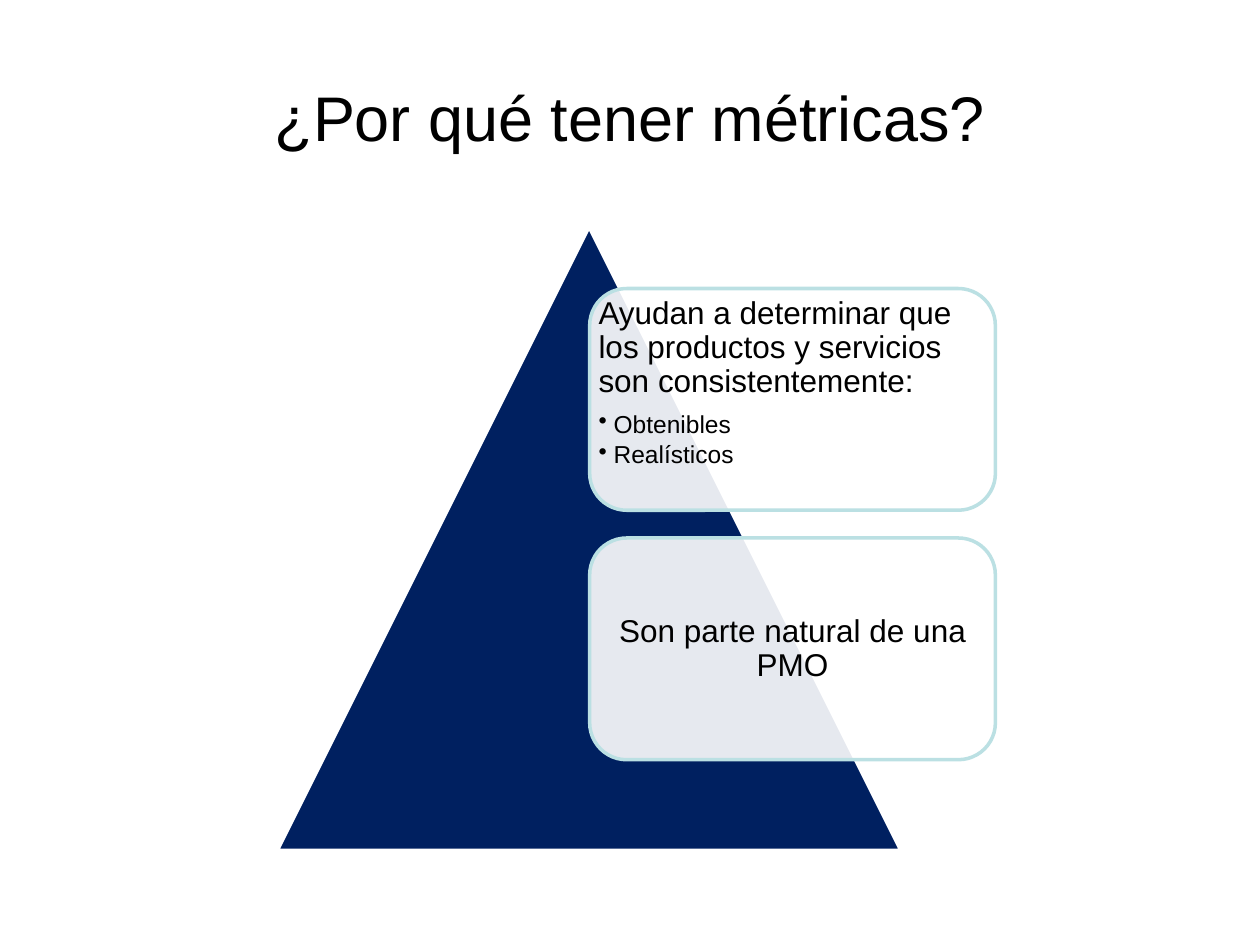
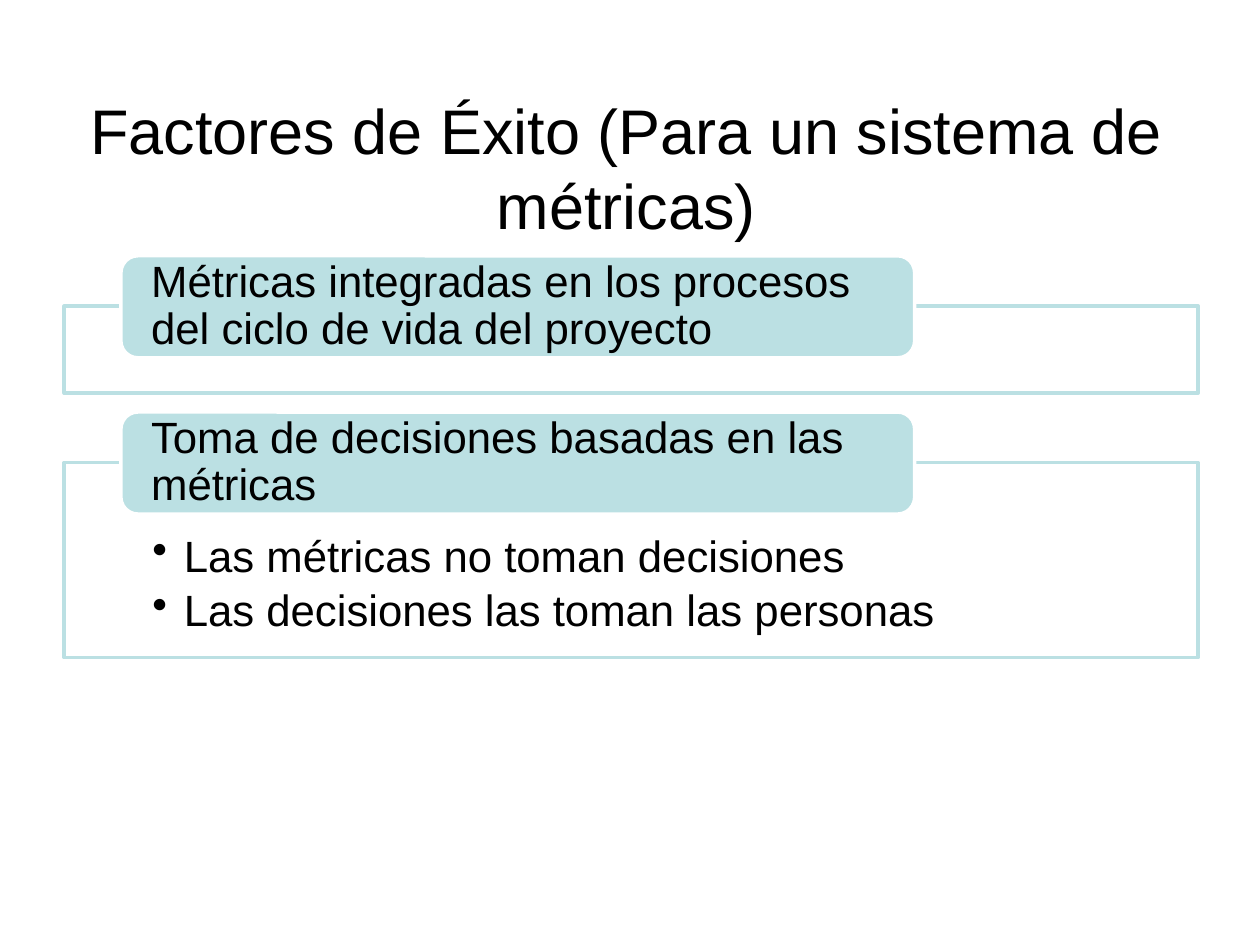
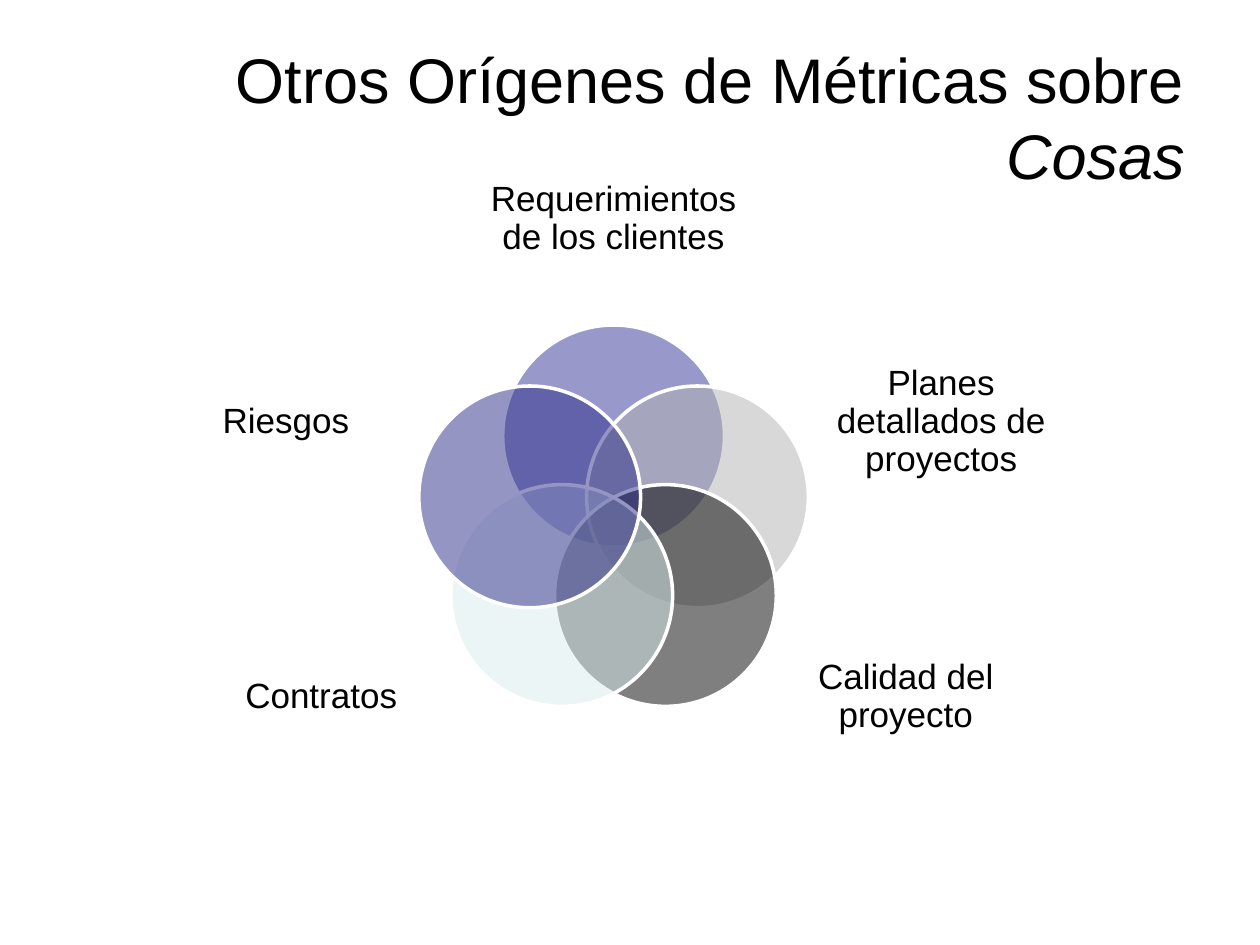
import math
import pptx
import pptx.dml.color
import pptx.enum.shapes
import pptx.enum.text
import pptx.oxml.ns
import pptx.util
from lxml import etree

Inches = pptx.util.Inches
Pt = pptx.util.Pt
Kind = pptx.enum.shapes.MSO_SHAPE
Align = pptx.enum.text.PP_ALIGN
Anchor = pptx.enum.text.MSO_ANCHOR

FONT = "Arial"
INK, WHITE, NAVY, AQUA = "000000", "FFFFFF", "002060", "BBE0E3"

REASONS = [
    ("Ayudan a determinar que los productos y servicios son consistentemente:",
     ["Obtenibles", "Realísticos"]),
    ("Son parte natural de una PMO", []),
]

# heading, bullets, panel height
FACTORS = [
    ("Métricas integradas en los procesos del ciclo de vida del proyecto", [], 0.69),
    ("Toma de decisiones basadas en las métricas",
     ["Las métricas no toman decisiones", "Las decisiones las toman las personas"], 1.55),
]

# label, circle colour, label centre (offset from the axis, y), label size
ORIGINS = [
    ("Requerimientos de los clientes", "333399", (0, 1.74), (2.04, 1.18)),
    ("Planes detallados de proyectos", "B3B3B3", (2.6, 3.35), (1.83, 1.28)),
    ("Calidad del proyecto", "000000", (2.32, 5.53), (1.83, 1.28)),
    ("Contratos", "DAEDEF", (-2.32, 5.53), (1.83, 1.28)),
    ("Riesgos", "2D2D8A", (-2.6, 3.35), (1.83, 1.28)),
]


def color(code):
    return pptx.dml.color.RGBColor.from_string(code)


def draw(slide, kind, box, fill, line, alpha=100):
    """Add a preset shape; alpha is the opacity of the fill in percent."""
    shape = slide.shapes.add_shape(kind, *map(Inches, box))
    shape.shadow.inherit = False
    shape.fill.solid()
    shape.fill.fore_color.rgb = color(fill)
    shape.line.color.rgb = color(line)
    shape.line.width = Pt(2)
    if alpha < 100:
        tone = shape.fill._xPr.find(".//" + pptx.oxml.ns.qn("a:srgbClr"))
        etree.SubElement(tone, pptx.oxml.ns.qn("a:alpha"), val=str(alpha * 1000))


def frame(slide, box, pads, anchor=Anchor.MIDDLE):
    """Add a text box; pads are its left, top, right and bottom insets."""
    text = slide.shapes.add_textbox(*map(Inches, box)).text_frame
    text.word_wrap = True
    text.vertical_anchor = anchor
    (text.margin_left, text.margin_top,
     text.margin_right, text.margin_bottom) = map(Inches, pads)
    return text


def write(text, runs, size, align=Align.LEFT, after=0.35, tight=True, dent=0):
    """Add a paragraph of (words, italic) runs; a dent makes it a bullet."""
    first = text.paragraphs[0]
    para = text.add_paragraph() if first.runs else first
    para.alignment = align
    if tight:
        para.line_spacing = 0.9
        para.space_after = Pt(round(after * size * 1.15, 1))
    if dent:
        props = para._p.get_or_add_pPr()
        props.set("marL", str(Inches(dent)))
        props.set("indent", str(-Inches(dent)))
        etree.SubElement(props, pptx.oxml.ns.qn("a:buChar"), char="•")
    for words, slant in runs:
        run = para.add_run()
        run.text = words
        run.font.name = FONT
        run.font.size = Pt(size)
        run.font.italic = slant
        run.font.color.rgb = color(INK)


def items(text, names, size, dent):
    for name in names:
        write(text, [(name, False)], size, after=0.15, dent=dent)


def start(deck, runs, left=0.5, top=0.3, align=Align.CENTER):
    """Add a blank slide with its title."""
    slide = deck.slides.add_slide(deck.slide_layouts[6])
    text = frame(slide, (left, top, 9, 1.25), (0.1, 0.05, 0.1, 0.05))
    write(text, runs, 36, align, tight=False)
    return slide


def reasons(deck):
    slide = start(deck, [("¿Por qué tener métricas?", False)])
    draw(slide, Kind.ISOSCELES_TRIANGLE, (2.2, 1.8, 4.95, 4.95), NAVY, WHITE)
    for row, (head, names) in enumerate(REASONS):
        box = (4.68, 2.29 + 1.98 * row, 3.22, 1.76)
        draw(slide, Kind.ROUNDED_RECTANGLE, box, WHITE, AQUA, 90)
        text = frame(slide, box, [0.07] * 4, Anchor.TOP if names else Anchor.MIDDLE)
        write(text, [(head, False)], 18, Align.LEFT if names else Align.CENTER)
        items(text, names, 14, 0.12)


def factors(deck):
    slide = start(deck, [("Factores de Éxito (Para un sistema de métricas)", False)],
                  0.47, 0.7)
    top, drop, gap = 2.03, 0.4, 0.15
    for head, names, high in FACTORS:
        panel = (0.51, top + drop, 9, high)
        draw(slide, Kind.RECTANGLE, panel, WHITE, AQUA, 90)
        if names:
            text = frame(slide, panel, (0.7, 0.57, 0.7, 0.19), Anchor.TOP)
            items(text, names, 25, 0.25)
        tab = (0.96, top, 6.3, 0.81)
        draw(slide, Kind.ROUNDED_RECTANGLE, tab, AQUA, WHITE)
        write(frame(slide, tab, (0.24, 0, 0.24, 0)), [(head, False)], 25)
        top += drop + high + gap


def origins(deck):
    slide = start(deck, [("Otros Orígenes de Métricas sobre ", False), ("Cosas", True)],
                  align=Align.RIGHT)
    axis, mid, ring, wide = 4.87, 4.16, 0.7, 1.76
    for step, (label, fill, (shift, y), (w, h)) in enumerate(ORIGINS):
        turn = math.tau * step / len(ORIGINS)
        left = axis + ring * math.sin(turn) - wide / 2
        top = mid - ring * math.cos(turn) - wide / 2
        draw(slide, Kind.OVAL, (left, top, wide, wide), fill, WHITE, 50)
        text = frame(slide, (axis + shift - w / 2, y - h / 2, w, h), [0] * 4)
        write(text, [(label, False)], 20, Align.CENTER)


def main():
    deck = pptx.Presentation()
    deck.slide_width, deck.slide_height = Inches(10), Inches(7.5)
    reasons(deck)
    factors(deck)
    origins(deck)
    deck.save("out.pptx")


if __name__ == "__main__":
    main()
